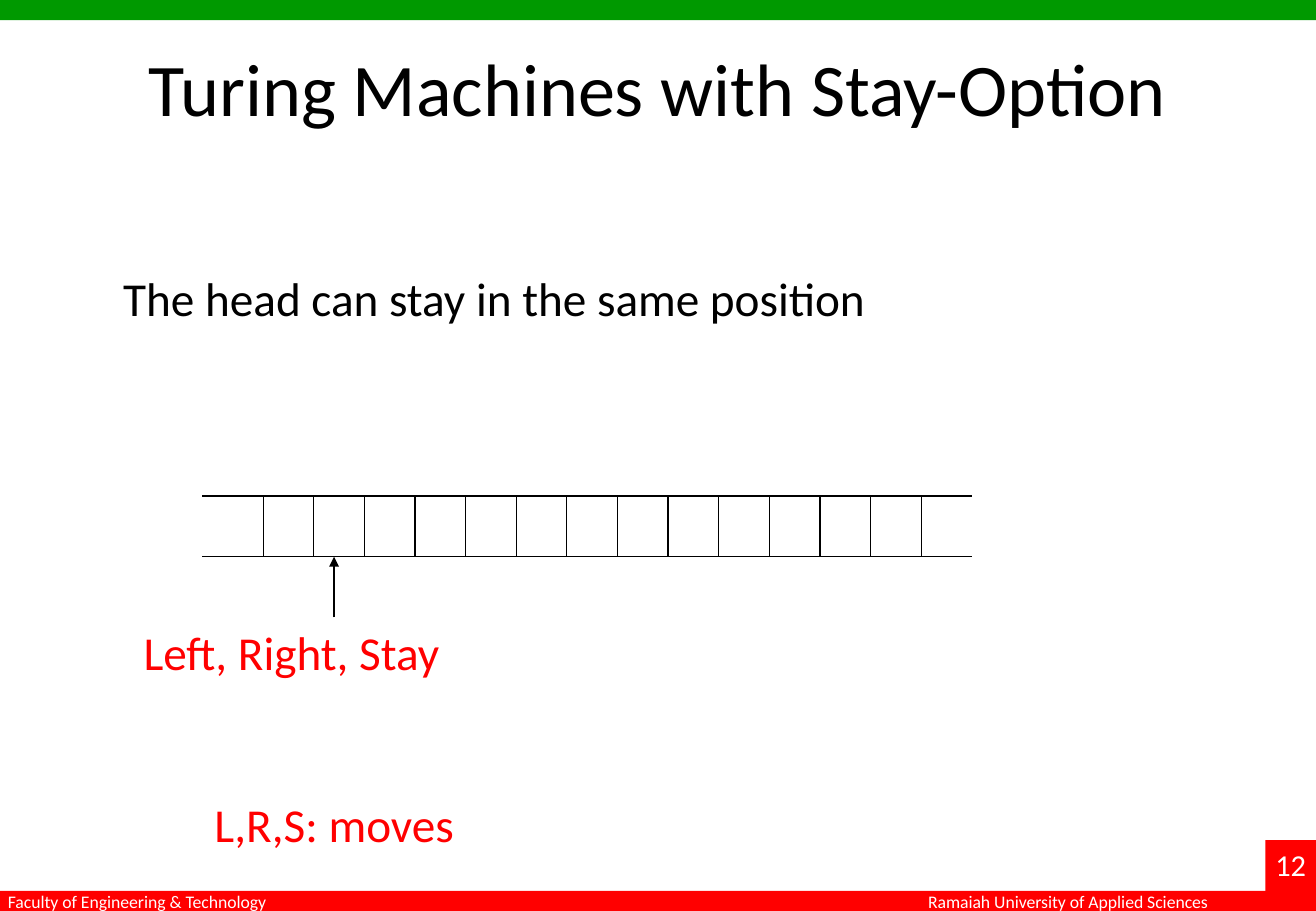
import pptx
import pptx.util
import pptx.dml.color
import pptx.enum.shapes
import pptx.enum.text
import pptx.oxml.ns
import lxml.etree

RGB = pptx.dml.color.RGBColor
BLACK = RGB(0, 0, 0)
WHITE = RGB(255, 255, 255)
RED = RGB(255, 0, 0)
GREEN = RGB(0, 153, 0)
FONT = "Calibri"
SCALE = 7620
WIDTH, HEIGHT = 1300, 900

BARS = [
    (0, 0, WIDTH, 20, GREEN),
    (0, 880, WIDTH, 20, RED),
    (1250, 830, 50, 70, RED),
]
LEFT = pptx.enum.text.PP_ALIGN.LEFT
MID = pptx.enum.text.PP_ALIGN.CENTER
TEXTS = [
    ("Ramaiah University of Applied Sciences", 905, 874, 306, 33, 10.5, WHITE, LEFT),
    ("12", 1248, 830, 60, 48, 18, WHITE, LEFT),
    ("Faculty of Engineering & Technology", -4, 874, 286, 33, 10.5, WHITE, LEFT),
    ("Turing Machines with Stay-Option", 65, 36, 1170, 150, 44, BLACK, MID),
    ("The head can stay in the same position", 110, 260, 766, 68, 28, BLACK, LEFT),
    ("Left, Right, Stay", 130, 610, 320, 68, 28, RED, LEFT),
    ("L,R,S: moves", 200, 780, 264, 68, 28, RED, LEFT),
]
TAPE = {"left": 200, "right": 960, "top": 490, "base": 550}
FIRST, STEP, COUNT = 260, 50, 14
HEAD, TAIL = 330, 610


def px(n):
    return pptx.util.Emu(n * SCALE)


def add_bar(slide, x, y, w, h, color):
    bar = slide.shapes.add_shape(
        pptx.enum.shapes.MSO_SHAPE.RECTANGLE, px(x), px(y), px(w), px(h))
    bar.shadow.inherit = False
    bar.fill.solid()
    bar.fill.fore_color.rgb = color
    bar.line.fill.background()


def add_text(slide, text, x, y, w, h, size, color, align):
    frame = slide.shapes.add_textbox(px(x), px(y), px(w), px(h)).text_frame
    frame.word_wrap = True
    para = frame.paragraphs[0]
    para.text = text
    para.alignment = align
    para.font.name = FONT
    para.font.size = pptx.util.Pt(size)
    para.font.color.rgb = color


def add_line(slide, x1, y1, x2, y2, arrow=False):
    line = slide.shapes.add_connector(
        pptx.enum.shapes.MSO_CONNECTOR.STRAIGHT, px(x1), px(y1), px(x2), px(y2))
    line.line.color.rgb = BLACK
    line.line.width = pptx.util.Pt(0.75)
    qn = pptx.oxml.ns.qn
    props = line._element.spPr
    if arrow:
        lxml.etree.SubElement(props.find(qn("a:ln")), qn("a:tailEnd"), type="triangle")
    lxml.etree.SubElement(props, qn("a:effectLst"))


def main():
    deck = pptx.Presentation()
    deck.slide_width, deck.slide_height = px(WIDTH), px(HEIGHT)
    slide = deck.slides.add_slide(deck.slide_layouts[6])
    for bar in BARS:
        add_bar(slide, *bar)
    for text in TEXTS:
        add_text(slide, *text)
    top, base = TAPE["top"], TAPE["base"]
    for y in (top, base):
        add_line(slide, TAPE["left"], y, TAPE["right"], y)
    for i in range(COUNT):
        x = FIRST + i * STEP
        add_line(slide, x, top, x, base)
    add_line(slide, HEAD, TAIL, HEAD, base, arrow=True)
    deck.save("out.pptx")


if __name__ == "__main__":
    main()
